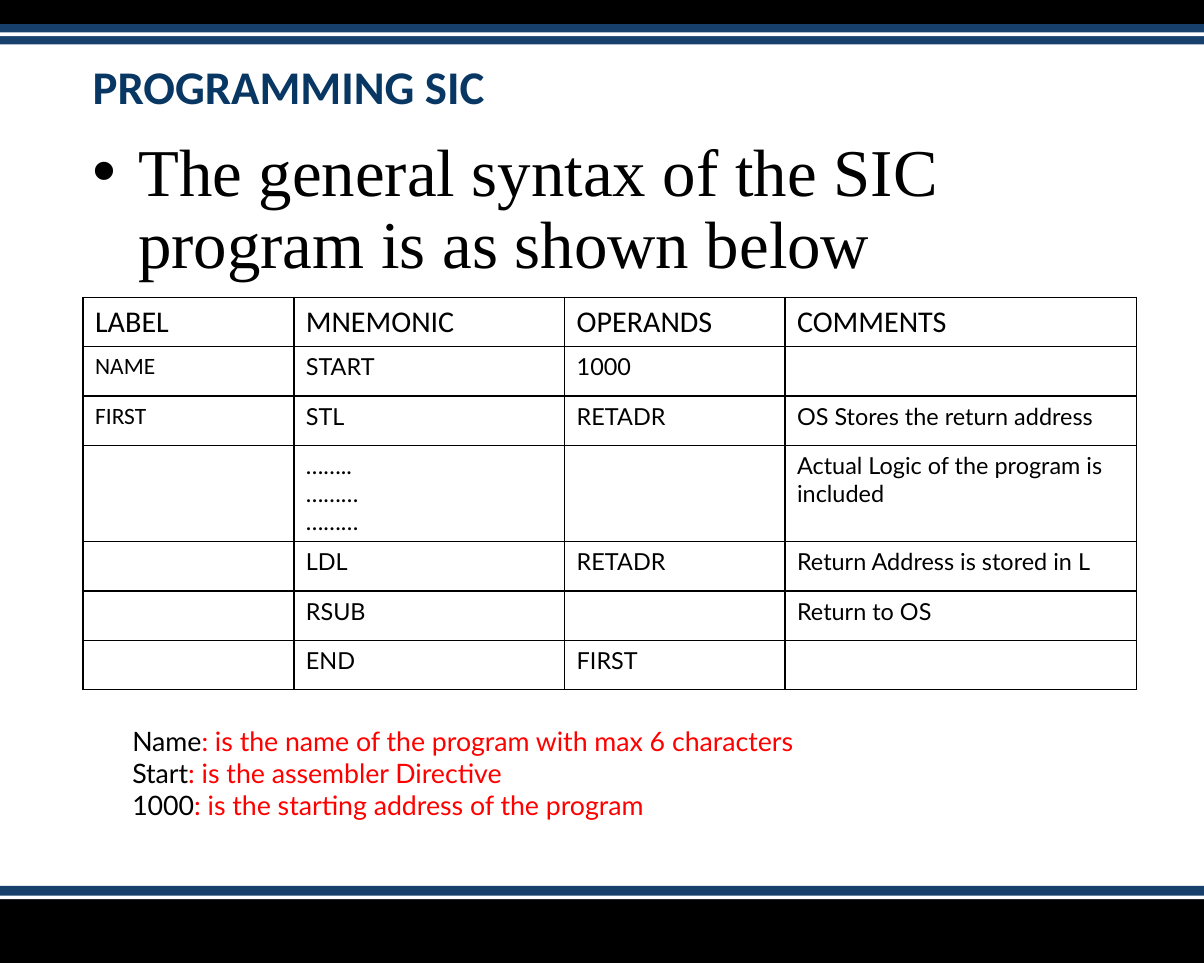
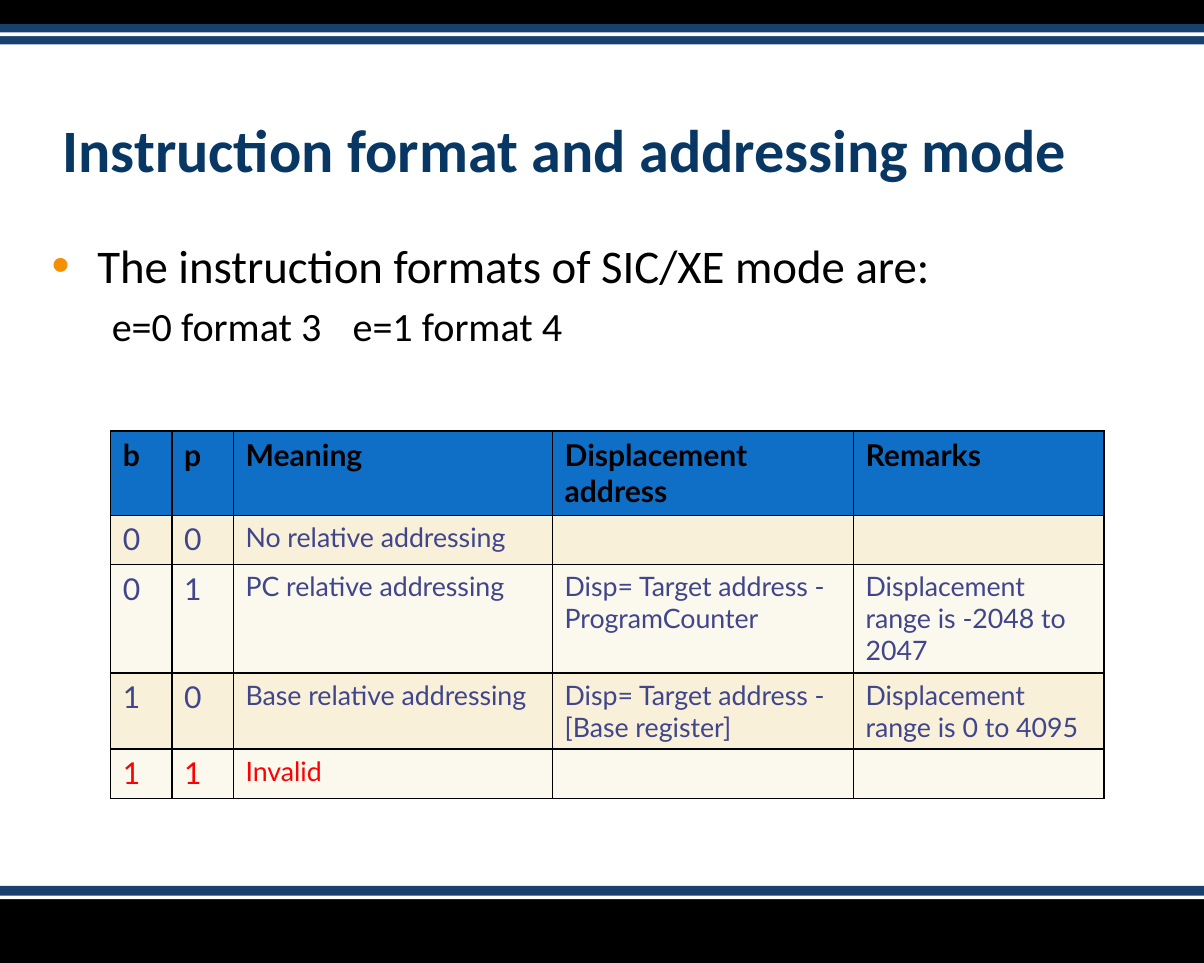
from dataclasses import dataclass

from lxml import etree
from pptx import Presentation
from pptx.dml.color import RGBColor
from pptx.enum.shapes import MSO_SHAPE
from pptx.enum.text import MSO_ANCHOR, MSO_AUTO_SIZE, PP_ALIGN
from pptx.oxml.ns import qn
from pptx.util import Inches, Pt

RECT = MSO_SHAPE.RECTANGLE
BOTTOM = MSO_ANCHOR.BOTTOM
LEFT = PP_ALIGN.LEFT
FIXED = MSO_AUTO_SIZE.NONE


@dataclass(frozen=True)
class Theme:
    black: str = "000000"
    white: str = "FFFFFF"
    navy: str = "17406D"
    title: str = "083763"
    red: str = "FF0000"
    orange: str = "F49100"
    blue: str = "0F6FC6"
    violet: str = "40458C"
    cream: str = "F8F0D8"
    pale: str = "FBF8ED"
    sans: str = "Calibri"
    lato: str = "Lato"
    serif: str = "Times New Roman"
    huge: int = 40
    large: int = 36
    lead: int = 28
    sub: int = 24
    head: int = 18
    note: int = 16
    small: int = 14


T = Theme()

BANDS = [
    (7.47, 0.53, T.black), (7.36, 0.11, T.navy), (7.44, 0.03, T.white),
    (0, 0.2, T.black), (0.2, 0.17, T.navy), (0.27, 0.03, T.white),
]

SYNTAX = [
    ("LABEL", "MNEMONIC", "OPERANDS", "COMMENTS"),
    ("NAME", "START", "1000", ""),
    ("FIRST", "STL", "RETADR", "OS Stores the return address"),
    ("", "……..\n………\n………", "", "Actual Logic of the program is included"),
    ("", "LDL", "RETADR", "Return Address is stored in L"),
    ("", "RSUB", "", "Return to OS"),
    ("", "END", "FIRST", ""),
]

NOTES = [
    ("Name", ": is the name of the program with max 6 characters"),
    ("Start", ": is the assembler Directive"),
    ("1000", ": is the starting address of the program"),
]

MODES = [
    ("b", "p", "Meaning", "Displacement address", "Remarks"),
    ("0", "0", "No relative addressing", "", ""),
    ("0", "1", "PC relative addressing", "Disp= Target address - ProgramCounter",
     "Displacement range is -2048 to 2047"),
    ("1", "0", "Base relative addressing", "Disp= Target address - [Base register]",
     "Displacement range is 0 to 4095"),
    ("1", "1", "Invalid", "", ""),
]


def rgb(code):
    return RGBColor.from_string(code)


def style(run, size, face, color, bold=False):
    font = run.font
    font.size, font.name, font.bold = Pt(size), face, bold
    font.color.rgb = rgb(color)


def inches(box):
    return [Inches(n) for n in box]


def add_bands(master, slide):
    for spot, (top, height, color) in enumerate(BANDS, 2):
        band = slide.shapes.add_shape(RECT, *inches((0, top, 10, height)))
        band.shadow.inherit = False
        band.fill.solid()
        band.fill.fore_color.rgb = rgb(color)
        band.line.fill.background()
        master.element.cSld.spTree.insert(spot, band.element)


def add_title(slide, text, box, size):
    title = slide.shapes.title
    title.left, title.top, title.width, title.height = inches(box)
    frame = title.text_frame
    frame.text = text
    frame.auto_size = FIXED
    frame.vertical_anchor = BOTTOM
    para = frame.paragraphs[0]
    para.alignment, para.line_spacing = LEFT, 0.9
    style(para.runs[0], size, T.sans, T.title, True)


def add_text(slide, box):
    frame = slide.shapes.add_textbox(*inches(box)).text_frame
    frame.word_wrap = True
    return frame


def indent(para, left, first):
    props = para._p.get_or_add_pPr()
    props.set("marL", str(Inches(left)))
    props.set("indent", str(Inches(first)))
    return props


def add_bullet(para, color, scale):
    props = indent(para, 0.38, -0.38)
    tint = etree.SubElement(props, qn("a:buClr"))
    etree.SubElement(tint, qn("a:srgbClr"), val=color)
    etree.SubElement(props, qn("a:buSzPct"), val=str(scale * 1000))
    etree.SubElement(props, qn("a:buFont"), typeface="Arial")
    etree.SubElement(props, qn("a:buChar"), char="•")


def add_tab(para, spot):
    tabs = etree.SubElement(para._p.get_or_add_pPr(), qn("a:tabLst"))
    etree.SubElement(tabs, qn("a:tab"), pos=str(Inches(spot)), algn="l")


def add_lines(cell):
    props = cell._tc.get_or_add_tcPr()
    for side in "LRTB":
        line = etree.SubElement(props, qn("a:ln" + side), w=str(Pt(1)))
        fill = etree.SubElement(line, qn("a:solidFill"))
        etree.SubElement(fill, qn("a:srgbClr"), val=T.black)


def add_grid(slide, rows, spot, widths, heights, look):
    box = (*spot, sum(widths), sum(heights))
    table = slide.shapes.add_table(len(rows), len(widths), *inches(box)).table
    table.horz_banding = False
    for col, width in zip(table.columns, widths):
        col.width = Inches(width)
    for row, height in zip(table.rows, heights):
        row.height = Inches(height)
    for r, row in enumerate(rows):
        for c, text in enumerate(row):
            cell = table.cell(r, c)
            cell.text_frame.text = text
            add_lines(cell)
            fill, *font = look(r, c)
            if fill:
                cell.fill.solid()
                cell.fill.fore_color.rgb = rgb(fill)
            else:
                cell.fill.background()
            for para in cell.text_frame.paragraphs:
                for run in para.runs:
                    style(run, *font)


def syntax_look(r, c):
    face = T.sans if r == 0 or c == 0 else T.lato
    return None, T.small if r else T.head, face, T.black


def modes_look(r, c):
    if r == 0:
        return T.blue, T.head, T.lato, T.black, True
    fill = T.cream if r % 2 else T.pale
    color = T.red if r == len(MODES) - 1 else T.violet
    return fill, T.head if c < 2 else T.note, T.lato, color


def fill_syntax(slide):
    add_title(slide, "PROGRAMMING SIC", (0.67, 0.58, 8.5, 0.42), T.lead)
    frame = add_text(slide, (0.67, 1.1, 8.5, 1.3))
    frame.text = "The general syntax of the SIC program is as shown below"
    para = frame.paragraphs[0]
    para.line_spacing = 0.9
    add_bullet(para, T.black, 100)
    style(para.runs[0], T.huge, T.serif, T.black)
    heights = [0.8 if r == 3 else 0.41 for r in range(len(SYNTAX))]
    add_grid(slide, SYNTAX, (0.69, 2.47), (1.75, 2.25, 1.83, 2.92), heights, syntax_look)
    frame = add_text(slide, (1, 5.97, 5.89, 0.91))
    frame.text = "\n".join(term for term, rest in NOTES)
    for para, (term, rest) in zip(frame.paragraphs, NOTES):
        para.add_run().text = rest
        for run, color in zip(para.runs, (T.black, T.red)):
            style(run, T.note, T.lato, color)


def fill_modes(slide):
    add_title(slide, "Instruction format and addressing mode", (0.42, 0.67, 9.25, 0.92), T.large)
    frame = add_text(slide, (0.33, 1.92, 9.25, 1.2))
    frame.text = "The instruction formats of SIC/XE mode are:\ne=0 format 3\te=1 format 4"
    lead, sub = frame.paragraphs
    add_bullet(lead, T.orange, 110)
    sub.space_before = Pt(5)
    indent(sub, 0, 0.5)
    add_tab(sub, 2.54)
    for para, size in ((lead, T.lead), (sub, T.sub)):
        for run in para.runs:
            style(run, size, T.sans, T.black)
    add_grid(slide, MODES, (0.92, 3.58), (0.51, 0.51, 2.65, 2.5, 2.08),
             (0.7, 0.41, 0.9, 0.63, 0.41), modes_look)


def main():
    deck = Presentation()
    deck.slide_width, deck.slide_height = Inches(10), Inches(8)
    first, second = [deck.slides.add_slide(deck.slide_layouts[5]) for _ in range(2)]
    add_bands(deck.slide_master, first)
    fill_syntax(first)
    fill_modes(second)
    deck.save("out.pptx")


if __name__ == "__main__":
    main()
